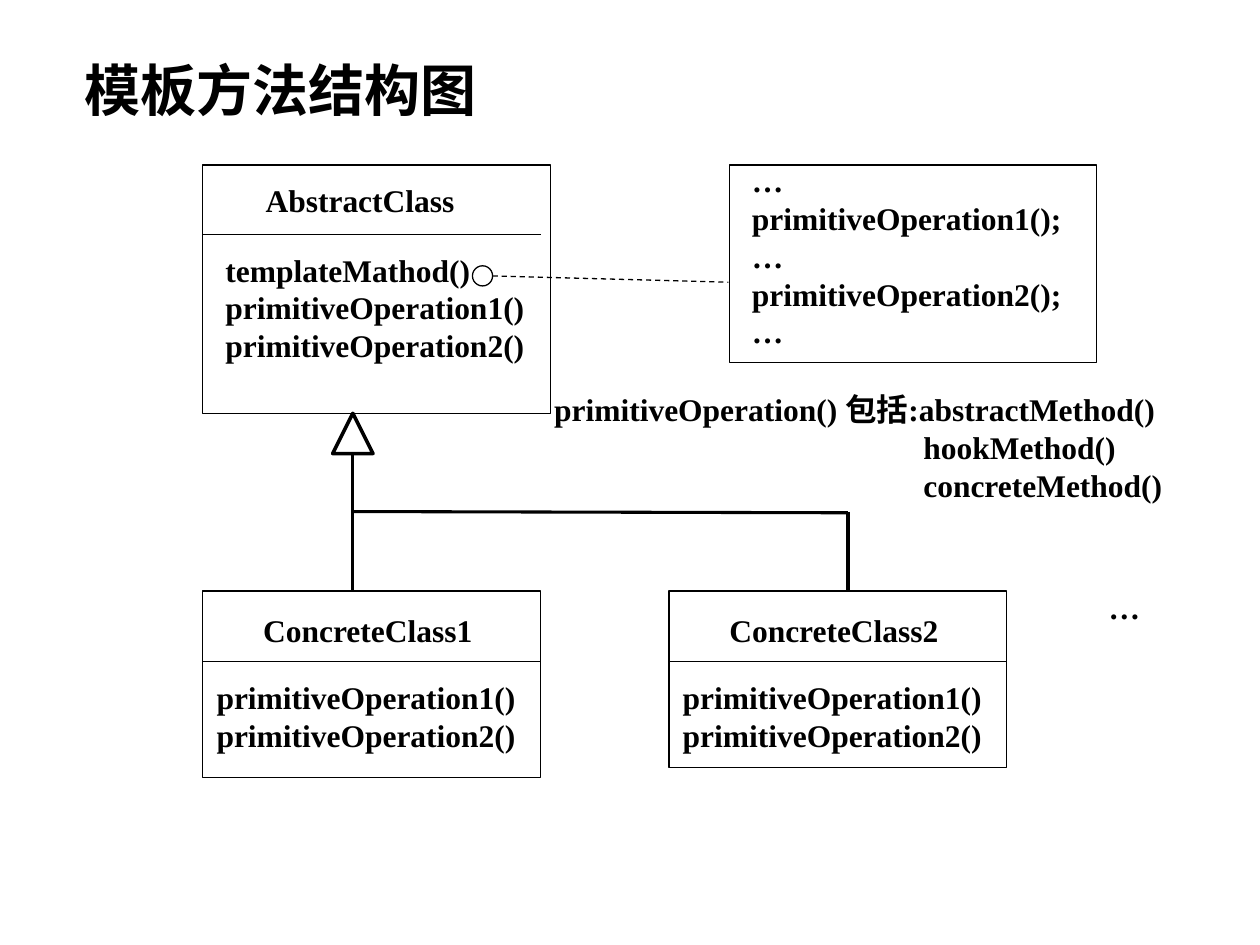
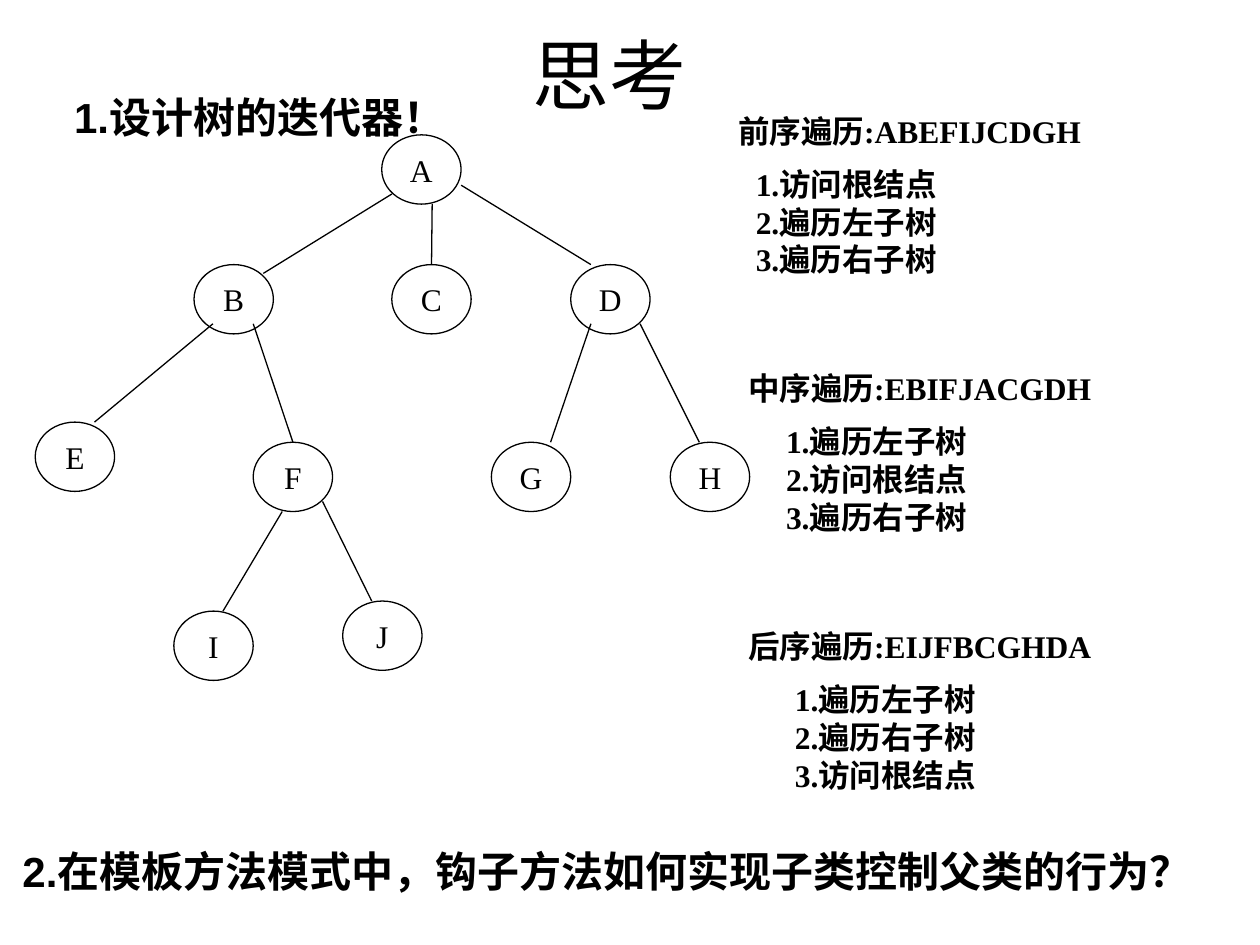
from lxml.etree import SubElement
from pptx import Presentation
from pptx.dml.color import RGBColor
from pptx.enum.dml import MSO_LINE
from pptx.enum.shapes import MSO_CONNECTOR, MSO_SHAPE
from pptx.enum.text import MSO_ANCHOR, PP_ALIGN
from pptx.oxml.ns import qn
from pptx.util import Inches, Pt

COLORS = {"ink": "000000"}
INK = RGBColor.from_string(COLORS["ink"])
LABEL = {"name": "Times New Roman", "size": Pt(18), "bold": True}
HEADING = {**LABEL, "size": Pt(32)}
NODE = {**LABEL, "bold": False}
QUESTION = {"name": "Arial", "size": Pt(24), "bold": True}
TITLE = {"name": "Arial", "size": Pt(44), "bold": False}
THIN, THICK = 0.75, 1.75


def write(shape, lines, font_format=LABEL, centered=False):
    """Fill a shape or text box with one paragraph per line."""
    frame = shape.text_frame
    frame.word_wrap = not centered
    frame.vertical_anchor = MSO_ANCHOR.MIDDLE if centered else MSO_ANCHOR.TOP
    for index, line in enumerate(lines):
        paragraph = frame.paragraphs[0] if index == 0 else frame.add_paragraph()
        paragraph.alignment = PP_ALIGN.CENTER if centered else PP_ALIGN.LEFT
        run = paragraph.add_run()
        run.text = line
        for name, value in font_format.items():
            setattr(run.font, name, value)
        run.font.color.rgb = INK
    return frame


def draw(slide, kind, geometry, weight=THIN):
    """Draw an unfilled shape (left, top, width, height) or a line (x1, y1, x2, y2)."""
    lengths = [Inches(value) for value in geometry]
    if kind == "line":
        shape = slide.shapes.add_connector(MSO_CONNECTOR.STRAIGHT, *lengths)
        SubElement(shape._element.spPr, qn("a:effectLst"))
    else:
        shape = slide.shapes.add_shape(kind, *lengths)
        shape.shadow.inherit = False
        shape.fill.background()
    shape.line.color.rgb = INK
    shape.line.width = Pt(weight)
    return shape


presentation = Presentation()
presentation.slide_width = Inches(10)
presentation.slide_height = Inches(7.5)
blank = presentation.slide_layouts[6]

# Slide 1: template method class diagram
slide = presentation.slides.add_slide(blank)
heading = slide.shapes.add_textbox(Inches(0.57), Inches(0.39), Inches(4.39), Inches(0.64))
write(heading, ["模板方法结构图"], HEADING)

# Class boxes: left, top, width, height, divider, name place, methods offset
operations = ["primitiveOperation1()", "primitiveOperation2()"]
class_boxes = [
    ("AbstractClass", 1.61, 1.31, 2.76, 1.97, 0.55, (0.4, 0.08),
     (0.08, 0.63), ["templateMathod()"] + operations),
    ("ConcreteClass1", 1.61, 4.69, 2.68, 1.48, 0.56, (0.38, 0.11),
     (0.01, 0.64), operations),
    ("ConcreteClass2", 5.31, 4.69, 2.68, 1.4, 0.56, (0.38, 0.11),
     (0.01, 0.64), operations),
]
for name, left, top, width, height, divider, name_place, methods_place, methods in class_boxes:
    draw(slide, MSO_SHAPE.RECTANGLE, (left, top, width, height))
    draw(slide, "line", (left, top + divider, left + 2.68, top + divider))
    name_left, name_top = name_place
    class_name = slide.shapes.add_textbox(
        Inches(left + name_left), Inches(top + name_top), Inches(2), Inches(0.4))
    write(class_name, [name])
    methods_left, methods_top = methods_place
    method_list = slide.shapes.add_textbox(
        Inches(left + methods_left), Inches(top + methods_top), Inches(2.68), Inches(1))
    write(method_list, methods)

# Code note tied to the template method
draw(slide, MSO_SHAPE.OVAL, (3.75, 2.11, 0.16, 0.16))
note_link = draw(slide, "line", (3.91, 2.19, 5.78, 2.24))
note_link.line.dash_style = MSO_LINE.DASH
draw(slide, MSO_SHAPE.RECTANGLE, (5.79, 1.31, 2.91, 1.57))
note = slide.shapes.add_textbox(Inches(5.87), Inches(1.23), Inches(2.8), Inches(1.6))
write(note, ["…", "primitiveOperation1();", "…", "primitiveOperation2();", "…"])

# Inheritance arrow and its branches
draw(slide, MSO_SHAPE.ISOSCELES_TRIANGLE, (2.64, 3.28, 0.32, 0.32), 2)
for branch in [(2.8, 3.59, 2.8, 4.69), (2.8, 4.06, 6.73, 4.07), (6.73, 4.06, 6.73, 4.69)]:
    draw(slide, "line", branch, THICK)

# Further classes and kinds of primitive operation
more_classes = slide.shapes.add_textbox(Inches(8.7), Inches(4.62), Inches(0.5), Inches(0.4))
write(more_classes, ["…"])
kinds = slide.shapes.add_textbox(Inches(4.3), Inches(3.05), Inches(5.7), Inches(1.3))
kinds_frame = write(kinds, ["primitiveOperation() 包括:abstractMethod()",
                            "hookMethod()", "concreteMethod()"])
for paragraph in kinds_frame.paragraphs[1:]:
    paragraph._p.get_or_add_pPr().set("marL", str(Inches(2.93)))

# Slide 2: questions on tree traversal
slide = presentation.slides.add_slide(blank)
title = slide.shapes.add_textbox(Inches(1.38), Inches(0.21), Inches(6.92), Inches(0.75))
write(title, ["思考"], TITLE, centered=True)

# Tree nodes, all of one size
node_width, node_height = 0.63, 0.55
node_places = {
    "A": (3.03, 1.07), "B": (1.54, 2.1), "C": (3.11, 2.1), "D": (4.53, 2.1),
    "E": (0.28, 3.35), "F": (2.01, 3.51), "I": (1.38, 4.85), "J": (2.72, 4.77),
    "G": (3.9, 3.51), "H": (5.32, 3.51),
}
nodes = {}
for letter, place in node_places.items():
    nodes[letter] = draw(slide, MSO_SHAPE.OVAL, (*place, node_width, node_height))
    write(nodes[letter], [letter], NODE, centered=True)

# Tree edges, keyed by the child node
edges = {
    "B": (3.11, 1.54, 2.09, 2.17), "C": (3.43, 1.62, 3.43, 2.1),
    "D": (3.66, 1.47, 4.69, 2.1), "G": (4.69, 2.57, 4.37, 3.51),
    "H": (5.08, 2.57, 5.55, 3.51), "E": (1.69, 2.57, 0.75, 3.35),
    "F": (2.01, 2.57, 2.32, 3.51), "I": (2.24, 4.06, 1.77, 4.85),
    "J": (2.56, 3.98, 2.95, 4.77),
}
for child, ends in edges.items():
    edge = draw(slide, "line", ends)
    if child in "CF":  # these edges reach the top middle of the child
        edge.end_connect(nodes[child], 0)

# Traversal orders with their steps
root, left_tree, right_tree = "访问根结点", "遍历左子树", "遍历右子树"
traversals = [
    ("前序遍历:ABEFIJCDGH", 5.76, 0.84, 5.9, [root, left_tree, right_tree]),
    ("中序遍历:EBIFJACGDH", 5.84, 2.88, 6.14, [left_tree, root, right_tree]),
    ("后序遍历:EIJFBCGHDA", 5.84, 4.93, 6.21, [left_tree, right_tree, root]),
]
for order, left, top, steps_left, steps in traversals:
    order_box = slide.shapes.add_textbox(Inches(left), Inches(top), Inches(3.2), Inches(0.4))
    write(order_box, [order])
    steps_box = slide.shapes.add_textbox(
        Inches(steps_left), Inches(top + 0.42), Inches(2), Inches(1))
    write(steps_box, [f"{number}.{step}" for number, step in enumerate(steps, 1)])

# Questions
questions = [
    ("1.设计树的迭代器！", 0.49, 0.68, 3.4, 0.5),
    ("2.在模板方法模式中，钩子方法如何实现子类控制父类的行为？", 0.08, 6.66, 9.92, 0.6),
]
for question, *place in questions:
    question_box = slide.shapes.add_textbox(*[Inches(value) for value in place])
    write(question_box, [question], QUESTION)

presentation.save("out.pptx")
